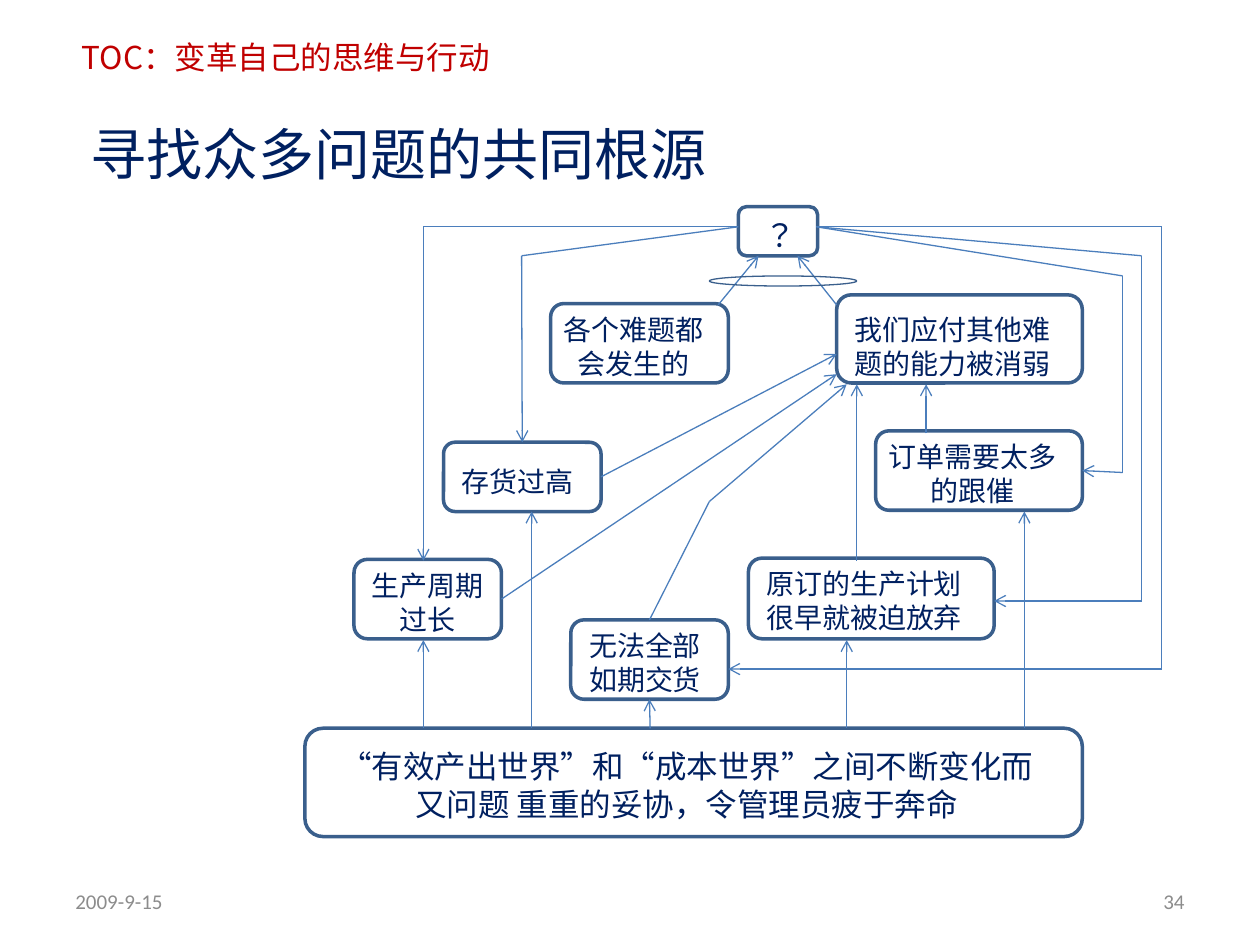
from itertools import pairwise
from lxml.etree import SubElement
from pptx import Presentation
from pptx.dml.color import RGBColor
from pptx.enum.shapes import MSO_CONNECTOR as LINK, MSO_SHAPE as SHAPE
from pptx.enum.text import MSO_ANCHOR as ANCHOR, PP_ALIGN as ALIGN
from pptx.oxml.ns import qn
from pptx.util import Inches, Pt

NAVY = RGBColor(0x00, 0x20, 0x60)
RED = RGBColor(0xC0, 0x00, 0x00)
GREY = RGBColor(0x8C, 0x8C, 0x8C)
EDGE = RGBColor(0x3A, 0x5F, 0x8C)
WIRE = RGBColor(0x4B, 0x7E, 0xBC)
SANS, SC, JP = "Calibri", "Noto Sans CJK SC", "Noto Sans CJK JP"
TOP, LEFT, BOTTOM, RIGHT = range(4)

# name: (left, top, width, height), (text left, top, width), size, text
BOXES = {
    "base": ((2.42, 5.78, 6.17, 0.86), (2.5, 5.86, 5.9), 18,
             "“有效产出世界”和“成本世界”之间不断变化而又问题 重重的妥协，令管理员疲于奔命"),
    "late": ((4.53, 4.92, 1.25, 0.63), (4.53, 4.92, 1.18), 16, "无法全部如期交货"),
    "plan": ((5.94, 4.43, 1.95, 0.64), (5.94, 4.43, 1.84), 16, "原订的生产计划很早就被迫放弃"),
    "chase": ((6.95, 3.42, 1.64, 0.63), (6.95, 3.42, 1.54), 16, "订单需要太多的跟催"),
    "cycle": ((2.81, 4.44, 1.17, 0.63), (2.81, 4.44, 1.17), 16, "生产周期过长"),
    "stock": ((3.52, 3.51, 1.25, 0.55), (3.52, 3.62, 1.18), 16, "存货过高"),
    "each": ((4.37, 2.41, 1.41, 0.63), (4.37, 2.41, 1.32), 16, "各个难题都会发生的"),
    "weak": ((6.64, 2.34, 1.95, 0.7), (6.64, 2.41, 1.84), 16, "我们应付其他难题的能力被消弱"),
    "root": ((5.86, 1.64, 0.63, 0.39), (5.9, 1.64, 0.59), 18, "？"),
}

# Each route ends in an arrowhead; a point is (x, y) or (box, side)
FLOOR = 5.78
WEST, EAST = (5.86, 1.8), (6.48, 1.8)
ROUTES = [
    [(5.16, FLOOR), ("late", BOTTOM)],
    [(6.72, FLOOR), (6.72, 5.08)],
    [(8.13, FLOOR), (8.13, 4.06)],
    [(3.36, FLOOR), (3.36, 5.08)],
    [(4.22, FLOOR), (4.22, 4.06)],
    [("late", TOP), (5.63, 3.98), (6.72, 3.05)],
    [("cycle", RIGHT), (6.64, 2.97)],
    [("stock", RIGHT), (6.64, 2.81)],
    [(6.8, 4.45), (6.8, 3.05)],
    [(7.35, 3.44), (7.35, 3.05)],
    [(5.7, 2.42), (6.02, 2.03)],
    [(6.64, 2.42), (6.33, 2.03)],
    [EAST, (8.91, 2.19), (8.91, 3.75), ("chase", RIGHT)],
    [EAST, (9.06, 2.03), (9.06, 4.77), (7.89, 4.77)],
    [EAST, (9.22, 1.8), (9.22, 5.31), (5.78, 5.31)],
    [WEST, (4.14, 2.03), ("stock", TOP)],
    [WEST, (3.36, 1.8), (3.36, 4.45)],
]

deck = Presentation()
deck.slide_width, deck.slide_height = Inches(10), Inches(7.5)
slide = deck.slides.add_slide(deck.slide_layouts[6])
shapes = slide.shapes


def write(text, shape, size=16, font=JP, color=NAVY, align=ALIGN.LEFT,
          anchor=ANCHOR.TOP, wrap=True, pads=(0.1, 0.05, 0.1)):
    """Fill a shape with text; pads are the left, top and right insets."""
    frame = shape.text_frame
    frame.word_wrap = wrap
    frame.vertical_anchor = anchor
    frame.margin_left, frame.margin_top, frame.margin_right = map(Inches, pads)
    frame.margin_bottom = Inches(0.05 if anchor == ANCHOR.MIDDLE else 0)
    para = frame.paragraphs[0]
    para.alignment = align
    if font != SANS:
        # CJK fonts are tall: set the lines tight and lower the first one
        para.line_spacing = Pt(round(size * 1.21, 1))
        frame.margin_top += Inches(size / 1000)
    run = para.add_run()
    run.text = text
    run.font.size, run.font.name = Pt(size), font
    run.font.color.rgb = color
    SubElement(run.font._element, qn("a:ea")).set("typeface", font)


def label(text, area, **look):
    write(text, shapes.add_textbox(*map(Inches, area)), **look)


def outline(kind, area, weight):
    shape = shapes.add_shape(kind, *map(Inches, area))
    shape.shadow.inherit = False
    shape.fill.background()
    shape.line.color.rgb = EDGE
    shape.line.width = Pt(weight)
    return shape


def place(point):
    if point[0] not in BOXES:
        return point
    x, y, w, h = BOXES[point[0]][0]
    return [(x + w / 2, y), (x, y + h / 2),
            (x + w / 2, y + h), (x + w, y + h / 2)][point[1]]


def wire(start, end, arrow, nodes):
    ends = map(Inches, (*place(start), *place(end)))
    link = shapes.add_connector(LINK.STRAIGHT, *ends)
    link.line.color.rgb = WIRE
    link.line.width = Pt(0.75)
    if start[0] in nodes:
        link.begin_connect(nodes[start[0]], start[1])
    if end[0] in nodes:
        link.end_connect(nodes[end[0]], end[1])
    if arrow:
        SubElement(link.line._get_or_add_ln(), qn("a:tailEnd")).set("type", "arrow")
    SubElement(link._element.spPr, qn("a:effectLst"))


label("TOC：变革自己的思维与行动", (0.55, 0.23, 3.59, 0.4), size=18, font=SC, color=RED)
label("寻找众多问题的共同根源", (0.62, 0.86, 5.14, 0.64), size=32, font=SC, wrap=False)
for text, left, align in [("2009-9-15", 0.5, ALIGN.LEFT), ("34", 7.17, ALIGN.RIGHT)]:
    label(text, (left, 6.95, 2.33, 0.4), size=12, font=SANS, color=GREY,
          align=align, anchor=ANCHOR.MIDDLE)

nodes = {}
for name, (area, (tx, ty, tw), size, text) in BOXES.items():
    x, y, w, h = area
    nodes[name] = outline(SHAPE.FLOWCHART_ALTERNATE_PROCESS, area, 2)
    round_in = min(w, h) / 6 * 0.29  # inset the rounded corners add
    pads = (tx - x + 0.09 - round_in, ty - y + 0.05 - round_in,
            x + w - tx - tw + 0.09 - round_in)
    write(text, nodes[name], size=size, align=ALIGN.CENTER, pads=pads)

for route in ROUTES:
    for start, end in pairwise(route):
        wire(start, end, end is route[-1], nodes)

outline(SHAPE.OVAL, (5.63, 2.19, 1.17, 0.08), 0.75)
deck.save("out.pptx")
